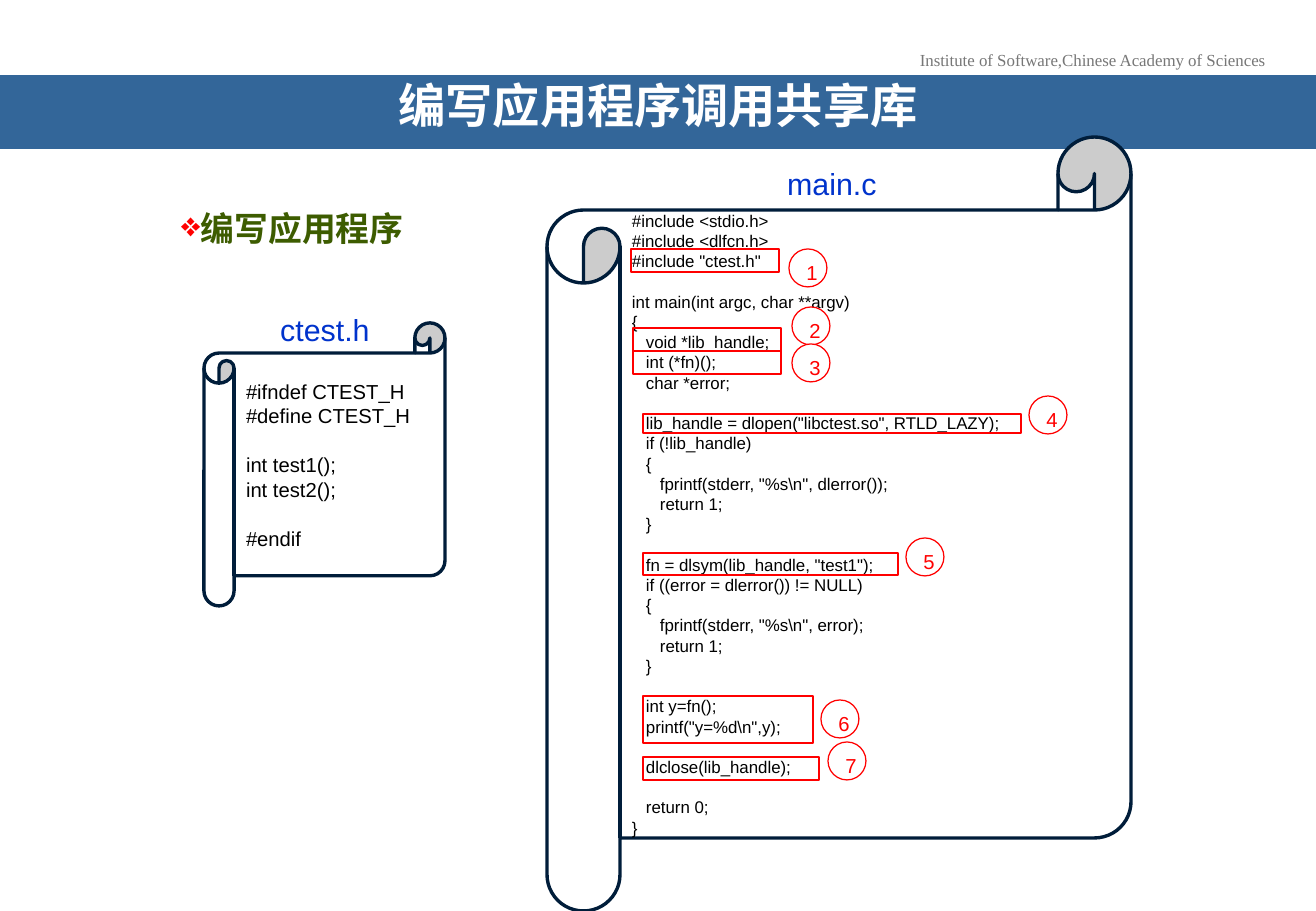
from lxml.etree import SubElement
from pptx import Presentation
from pptx.dml.color import RGBColor
from pptx.enum.shapes import MSO_SHAPE
from pptx.enum.text import MSO_ANCHOR, PP_ALIGN
from pptx.oxml.ns import qn
from pptx.util import Pt

# Content
INSTITUTE = "Institute of Software,Chinese Academy of Sciences"
TITLE = "编写应用程序调用共享库"
TOPIC = "编写应用程序"
HEADER_CODE = r"""#ifndef CTEST_H
#define CTEST_H

int test1();
int test2();

#endif"""
MAIN_CODE = r"""#include <stdio.h>
#include <dlfcn.h>
#include "ctest.h"

int main(int argc, char **argv)
{
   void *lib_handle;
   int (*fn)();
   char *error;

   lib_handle = dlopen("libctest.so", RTLD_LAZY);
   if (!lib_handle)
   {
      fprintf(stderr, "%s\n", dlerror());
      return 1;
   }

   fn = dlsym(lib_handle, "test1");
   if ((error = dlerror()) != NULL)
   {
      fprintf(stderr, "%s\n", error);
      return 1;
   }

   int y=fn();
   printf("y=%d\n",y);

   dlclose(lib_handle);

   return 0;
}"""
# File name, label place, scroll place, code, text size, line pitch
LISTINGS = [
    ("ctest.h", (238, 305, 174, 49), (204, 323, 241, 283), HEADER_CODE, 12, 14.5),
    ("main.c", (745, 159, 174, 49), (547, 137, 584, 774), MAIN_CODE, 10, 12),
]
# Frame around the code, then left and top of its numbered circle
STEPS = [
    ((631, 249, 148, 23), (789, 249)),
    ((633, 328, 148, 23), (792, 307)),
    ((633, 351, 148, 23), (792, 344)),
    ((643, 414, 378, 19), (1029, 396)),
    ((643, 553, 255, 22), (906, 538)),
    ((643, 696, 170, 47), (821, 700)),
    ((643, 757, 176, 23), (828, 742)),
]
CIRCLE = 38

WHITE = RGBColor(0xFF, 0xFF, 0xFF)
BLACK = RGBColor(0, 0, 0)
GRAY = RGBColor(0x77, 0x77, 0x77)
BAND_BLUE = RGBColor(0x33, 0x66, 0x99)
LABEL_BLUE = RGBColor(0x00, 0x33, 0xCC)
NAVY = RGBColor(0x00, 0x1D, 0x3A)
GREEN = RGBColor(0x3D, 0x5C, 0x00)
RED = RGBColor(0xFF, 0, 0)


def px(length):
    return round(length * 914400 / 121.5)


def write(para, text, size, color, font="Arial", bold=False, align=PP_ALIGN.CENTER):
    para.text = text
    para.alignment = align
    para.font.name = font
    para.font.size = Pt(size)
    para.font.bold = bold
    para.font.color.rgb = color


def add_text(page, place, wrap=True):
    box = page.shapes.add_textbox(*map(px, place))
    box.text_frame.word_wrap = wrap
    return box.text_frame.paragraphs[0]


def add_shape(page, kind, place, fill=None, line=None, width=0.75):
    shape = page.shapes.add_shape(kind, *map(px, place))
    shape.shadow.inherit = False
    if fill is None:
        shape.fill.background()
    else:
        shape.fill.solid()
        shape.fill.fore_color.rgb = fill
    if line is None:
        shape.line.fill.background()
    else:
        shape.line.color.rgb = line
        shape.line.width = Pt(width)
    return shape


def write_code(frame, code, size, pitch):
    """One paragraph a code line; an empty line becomes space before the next."""
    gap = 0
    para = frame.paragraphs[0]
    for number, line in enumerate(code.splitlines()):
        if not line:
            gap += pitch
            continue
        if number:
            para = frame.add_paragraph()
        para.line_spacing = Pt(pitch)
        para.space_before = Pt(gap)
        write(para, line, size, BLACK, align=PP_ALIGN.LEFT)
        gap = 0


def add_bullet(para, symbol, color):
    props = para._p.get_or_add_pPr()
    props.set("marL", "0")
    props.set("indent", "0")
    SubElement(SubElement(props, qn("a:buClr")), qn("a:srgbClr")).set("val", str(color))
    SubElement(props, qn("a:buChar")).set("char", symbol)


def main():
    deck = Presentation()
    deck.slide_width, deck.slide_height = px(1316), px(911)
    page = deck.slides.add_slide(deck.slide_layouts[6])

    # Header and title band
    write(add_text(page, (906, 44, 373, 33), wrap=False), INSTITUTE, 10, GRAY,
          "Times New Roman")
    band = add_shape(page, MSO_SHAPE.RECTANGLE, (0, 75, 1316, 74), BAND_BLUE)
    para = band.text_frame.paragraphs[0]
    para.line_spacing = 0.7
    write(para, TITLE, 28, WHITE, "Arial Narrow", bold=True)

    # Topic
    para = add_text(page, (162, 202, 261, 53), wrap=False)
    add_bullet(para, "❖", RED)
    write(para, TOPIC, 20, GREEN, bold=True)

    # Code scrolls
    for name, label, place, code, size, pitch in LISTINGS:
        scroll = add_shape(page, MSO_SHAPE.HORIZONTAL_SCROLL, place, WHITE, NAVY, 2)
        write_code(scroll.text_frame, code, size, pitch)
        write(add_text(page, label), name, 18, LABEL_BLUE)

    # Numbered steps
    for number, (frame, corner) in enumerate(STEPS, 1):
        add_shape(page, MSO_SHAPE.RECTANGLE, frame, line=RED)
        circle = add_shape(page, MSO_SHAPE.OVAL, (*corner, CIRCLE, CIRCLE), WHITE, RED)
        circle.text_frame.vertical_anchor = MSO_ANCHOR.TOP
        write(circle.text_frame.paragraphs[0], str(number), 12, RED)

    deck.save("out.pptx")


if __name__ == "__main__":
    main()
